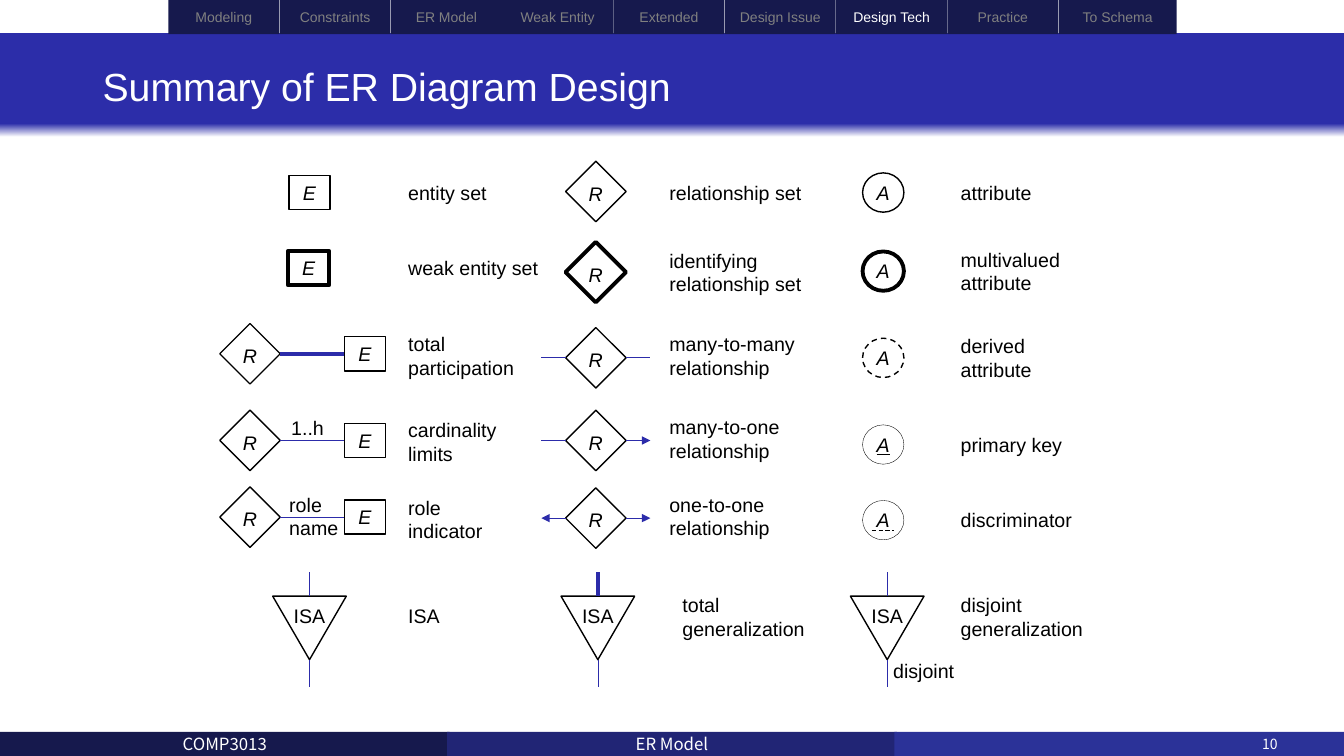
import pptx
import pptx.util
from dataclasses import dataclass
from lxml import etree
from pptx.dml.color import RGBColor
from pptx.enum.dml import MSO_LINE
from pptx.enum.shapes import MSO_CONNECTOR, MSO_SHAPE
from pptx.enum.text import MSO_ANCHOR, MSO_UNDERLINE, PP_ALIGN
from pptx.oxml.ns import qn
from pptx.util import Inches, Pt


@dataclass(frozen=True)
class Theme:
    navy: str = "16194D"
    indigo: str = "212575"
    blue: str = "2B3298"
    banner: str = "2C2DA9"
    link: str = "2C2CAA"
    white: str = "FFFFFF"
    black: str = "000000"
    muted: str = "808080"
    font: str = "Arial"
    footer_font: str = "Noto Sans CJK SC"
    number_font: str = "Noto Sans CJK JP"
    title_size: float = 28
    body_size: float = 14
    footer_size: float = 12
    small_size: float = 10
    hairline: float = 0.25
    thin: float = 0.5
    outline: float = 1
    bold: float = 2.75


THEME = Theme()
TOP, LEFT, BOTTOM, RIGHT = range(4)
TABS = ["Modeling", "Constraints", "ER Model", "Weak Entity", "Extended",
        "Design Issue", "Design Tech", "Practice", "To Schema"]
CURRENT_TAB = "Design Tech"


def rgb(value):
    return RGBColor.from_string(value)


def write(shape, text, size=THEME.body_size, color=THEME.black, font=THEME.font,
          align=PP_ALIGN.LEFT, italic=False, underline=None, inset=(0.1, 0.05), wrap=True):
    frame = shape.text_frame
    frame.text = text
    frame.word_wrap = wrap
    frame.vertical_anchor = MSO_ANCHOR.MIDDLE
    frame.margin_left = frame.margin_right = Inches(inset[0])
    frame.margin_top = frame.margin_bottom = Inches(inset[1])
    for paragraph in frame.paragraphs:
        paragraph.alignment = align
        for run in paragraph.runs:
            run.font.name = font
            run.font.size = Pt(size)
            run.font.color.rgb = rgb(color)
            run.font.italic = italic
            run.font.underline = underline


def add_bar(slide, left, top, width, height, fill):
    bar = slide.shapes.add_shape(MSO_SHAPE.RECTANGLE, Inches(left), Inches(top),
                                 Inches(width), Inches(height))
    bar.shadow.inherit = False
    bar.line.fill.background()
    bar.fill.solid()
    bar.fill.fore_color.rgb = rgb(fill)
    return bar


def add_label(slide, left, middle, text, width=1.6, height=0.57, **style):
    """Text box centred vertically on middle."""
    box = slide.shapes.add_textbox(Inches(left), Inches(middle - height / 2),
                                   Inches(width), Inches(height))
    write(box, text, **style)


def add_symbol(slide, kind, center, middle, width, height, letter,
               weight=THEME.outline, dash=None, italic=True, underline=None, drop=0):
    """Outlined ER symbol; drop lowers its letter inside the shape."""
    symbol = slide.shapes.add_shape(kind, Inches(center - width / 2), Inches(middle - height / 2),
                                    Inches(width), Inches(height))
    symbol.shadow.inherit = False
    symbol.fill.background()
    symbol.line.color.rgb = rgb(THEME.black)
    symbol.line.width = Pt(weight)
    if dash:
        symbol.line.dash_style = dash
    write(symbol, letter, align=PP_ALIGN.CENTER, italic=italic, underline=underline,
          inset=(0, 0), wrap=False)
    symbol.text_frame.margin_top = Inches(drop)
    return symbol


def add_entity(slide, center, middle, **style):
    return add_symbol(slide, MSO_SHAPE.RECTANGLE, center, middle, 0.41, 0.34, "E", **style)


def add_relationship(slide, center, middle, **style):
    return add_symbol(slide, MSO_SHAPE.DIAMOND, center, middle, 0.6, 0.6, "R", drop=0.04, **style)


def add_attribute(slide, center, middle, letter="A", **style):
    return add_symbol(slide, MSO_SHAPE.OVAL, center, middle, 0.41, 0.39, letter, **style)


def add_link(slide, symbol, side, end, weight=THEME.thin, arrow=False):
    """Line from a side of a symbol to an (x, y) point in inches."""
    x, y = map(Inches, end)
    link = slide.shapes.add_connector(MSO_CONNECTOR.STRAIGHT, x, y, x, y)
    link.begin_connect(symbol, side)
    link.line.color.rgb = rgb(THEME.link)
    link.line.width = Pt(weight)
    if arrow:
        etree.SubElement(link.line._get_or_add_ln(), qn("a:tailEnd"), type="triangle")
    etree.SubElement(link._element.spPr, qn("a:effectLst"))
    return link


def add_participation(slide, middle, weight=THEME.thin):
    relationship = add_relationship(slide, 2.48, middle)
    entity = add_entity(slide, 3.62, middle)
    add_link(slide, relationship, RIGHT, (3.42, middle), weight).end_connect(entity, LEFT)


def add_isa(slide, center, top_weight=THEME.thin):
    triangle = add_symbol(slide, MSO_SHAPE.FLOWCHART_MERGE, center, 6.23, 0.73, 0.63, "ISA",
                          italic=False, drop=0.08)
    add_link(slide, triangle, TOP, (center, 5.67), top_weight)
    add_link(slide, triangle, BOTTOM, (center, 6.82))


def add_frame(slide):
    footers = [("COMP3013", THEME.navy), ("ER Model", THEME.indigo), ("", THEME.blue)]
    for index, (text, fill) in enumerate(footers):
        bar = add_bar(slide, index * 4.435, 7.26, 4.46, 0.24, fill)
        if text:
            write(bar, text, THEME.footer_size, THEME.white, THEME.footer_font, PP_ALIGN.CENTER)
    add_label(slide, 12.42, 7.38, "10", 0.8, 0.24, size=THEME.small_size,
              color=THEME.white, font=THEME.number_font)

    banner = add_bar(slide, 0, 0.33, 13.33, 1.03, THEME.banner)
    banner.fill.gradient()
    banner.fill.gradient_angle = 90
    stops = [(0, THEME.white), (0.13, THEME.banner)]
    for stop, (position, color) in zip(banner.fill.gradient_stops, stops):
        stop.position = position
        stop.color.rgb = rgb(color)
    add_label(slide, 0.92, 0.85, "Summary of ER Diagram Design", 11.5, 0.92,
              size=THEME.title_size, color=THEME.white)

    for index, name in enumerate(TABS):
        width = 1.17 if name == TABS[-1] else 1.1
        tab = add_bar(slide, 1.67 + index * 8.83 / 8, 0, width, 0.34, THEME.navy)
        write(tab, name, THEME.small_size, THEME.white if name == CURRENT_TAB else THEME.muted,
              align=PP_ALIGN.CENTER, inset=(0.05, 0.05))


def add_entity_column(slide):
    add_entity(slide, 3.07, 1.91)
    add_entity(slide, 3.06, 2.66, weight=THEME.bold)
    add_participation(slide, 3.51, THEME.bold)
    add_participation(slide, 4.37)
    add_participation(slide, 5.13)
    add_label(slide, 2.79, 4.24, "1..h", 0.6, 0.34)
    add_label(slide, 2.77, 5.12, "role\nname", 0.75)
    add_isa(slide, 3.07)
    labels = [(1.91, "entity set"), (2.66, "weak entity set"), (3.53, "total\nparticipation"),
              (4.38, "cardinality\nlimits"), (5.15, "role\nindicator"), (6.11, "ISA")]
    for middle, text in labels:
        add_label(slide, 3.95, middle, text)


def add_relationship_column(slide):
    center = 5.91
    add_relationship(slide, center, 1.9)
    add_relationship(slide, center, 2.7, weight=THEME.bold)
    for middle, left_arrow, right_arrow in [(3.55, False, False), (4.37, False, True),
                                            (5.14, True, True)]:
        relationship = add_relationship(slide, center, middle)
        add_link(slide, relationship, LEFT, (5.37, middle), arrow=left_arrow)
        add_link(slide, relationship, RIGHT, (6.45, middle), arrow=right_arrow)
    add_isa(slide, 5.93, THEME.bold)
    labels = [(1.91, "relationship set"), (2.7, "identifying\nrelationship set"),
              (3.53, "many-to-many\nrelationship"), (4.35, "many-to-one\nrelationship"),
              (5.12, "one-to-one\nrelationship")]
    for middle, text in labels:
        add_label(slide, 6.54, middle, text)
    add_label(slide, 6.67, 6.12, "total\ngeneralization")


def add_attribute_column(slide):
    center = 8.76
    add_attribute(slide, center, 1.91)
    add_attribute(slide, center, 2.69, weight=THEME.bold)
    add_attribute(slide, center, 3.55, dash=MSO_LINE.DASH)
    add_attribute(slide, center, 4.41, weight=THEME.hairline, underline=True)
    add_attribute(slide, center, 5.16, " A ", weight=THEME.hairline,
                  underline=MSO_UNDERLINE.DASH_LINE)
    add_isa(slide, 8.8, 0.75)
    add_label(slide, 8.76, 6.65, "disjoint", 0.9, 0.34)
    labels = [(1.91, "attribute"), (2.69, "multivalued\nattribute"), (3.55, "derived\nattribute"),
              (4.41, "primary key"), (5.16, "discriminator"), (6.12, "disjoint\ngeneralization")]
    for middle, text in labels:
        add_label(slide, 9.43, middle, text)


def main():
    deck = pptx.Presentation()
    deck.slide_width, deck.slide_height = Inches(13.33), Inches(7.5)
    slide = deck.slides.add_slide(deck.slide_layouts[6])
    add_frame(slide)
    add_entity_column(slide)
    add_relationship_column(slide)
    add_attribute_column(slide)
    deck.save("out.pptx")


if __name__ == "__main__":
    main()
